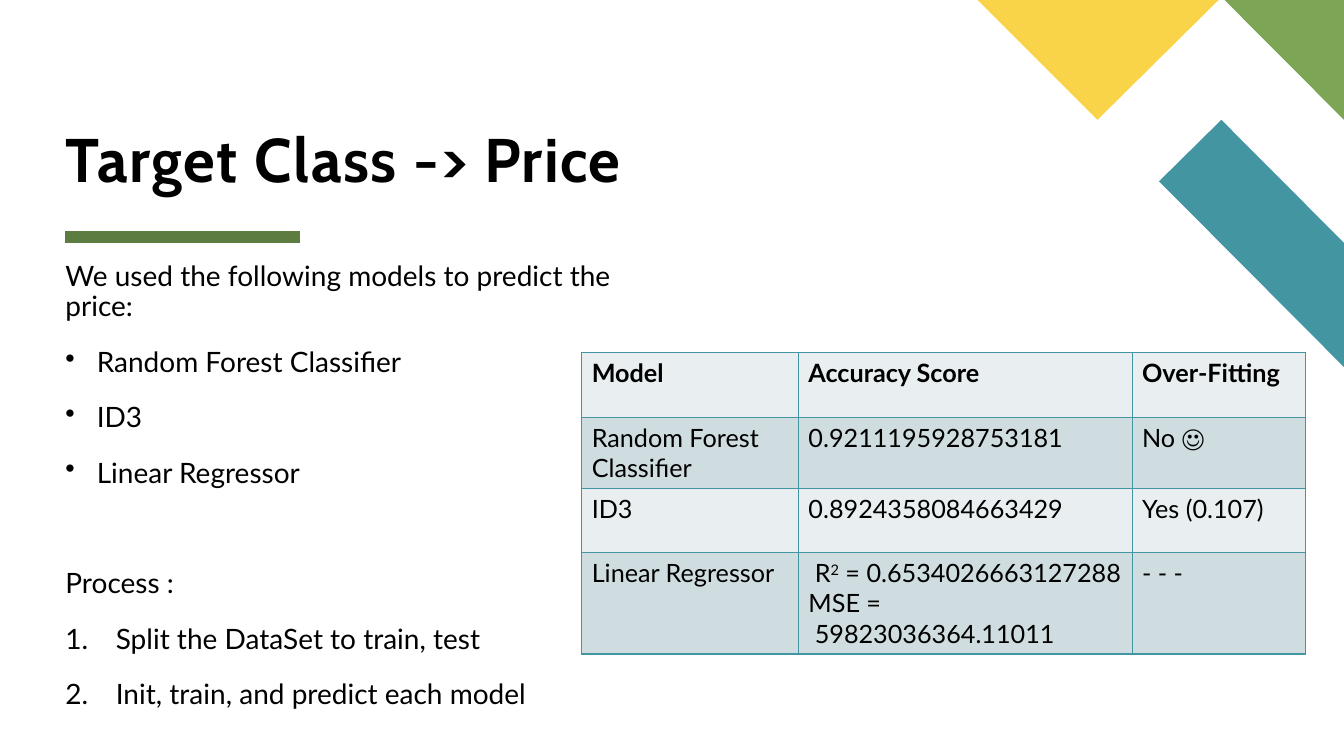
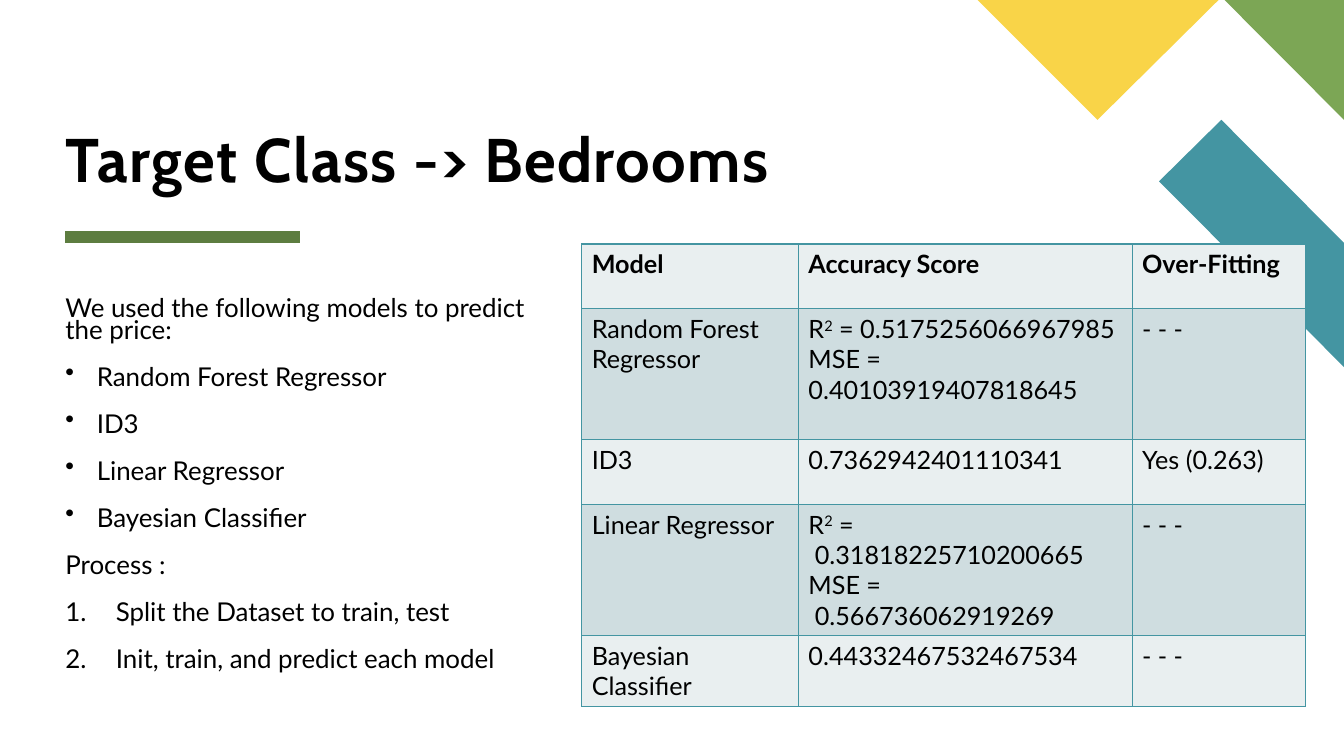
from dataclasses import dataclass

from lxml.etree import SubElement
from pptx import Presentation
from pptx.dml.color import RGBColor
from pptx.enum.shapes import MSO_CONNECTOR
from pptx.enum.text import MSO_ANCHOR, PP_ALIGN
from pptx.oxml import parse_xml
from pptx.oxml.ns import nsdecls, qn
from pptx.util import Cm, Pt


@dataclass(frozen=True)
class Theme:
    """Colours, fonts and type sizes shared by the slides."""

    ink: str = "000000"
    teal: str = "4495A2"
    green: str = "7CA655"
    yellow: str = "F9D448"
    rule: str = "5D7D40"
    bands: tuple = ("E9EFF0", "CFDDE0")
    title_font: str = "Cabin"
    body_font: str = "Lato"
    title_size: float = 44
    table_size: float = 18
    paragraph_gap: float = 18


@dataclass(frozen=True)
class Regression:
    """Scores of a regression model and their reading direction."""

    r_squared: str
    mse: str
    rtl: bool = False


THEME = Theme()
LEFT_MARGIN = 1.65
COLUMN_WIDTHS = (5.46, 8.41, 4.37)
HEADINGS = ("Model", "Accuracy Score", "Over-Fitting")
NO_VALUE = "- - -"
INTRO = "We used the following models to predict the price:"
CORNER_PIECES = (
    (THEME.teal, ((33.87, 9.25), (33.87, 6.12), (30.78, 3.02), (29.21, 4.57))),
    (THEME.green, ((33.87, 3.02), (33.87, 0), (30.86, 0))),
    (THEME.yellow, ((24.64, 0), (27.66, 3.02), (30.71, 0))),
)


def color(value):
    """Turn a hex string into a colour."""
    return RGBColor.from_string(value)


def style_run(run, size, font=THEME.body_font, bold=False):
    """Apply font, size, weight and ink to a run."""
    run.font.name = font
    run.font.size = Pt(size)
    run.font.bold = bold
    run.font.color.rgb = color(THEME.ink)


def add_corner_pieces(slide):
    """Draw the coloured outlines in the upper right corner."""
    for fill, corners in CORNER_PIECES:
        points = [(Cm(x), Cm(y)) for x, y in corners]
        builder = slide.shapes.build_freeform(*points[0], scale=1.0)
        builder.add_line_segments(points[1:], close=True)
        piece = builder.convert_to_shape()
        piece.shadow.inherit = False
        piece.fill.solid()
        piece.fill.fore_color.rgb = color(fill)
        piece.line.fill.background()


def add_title_rule(slide):
    """Draw the thick line below the title."""
    rule = slide.shapes.add_connector(
        MSO_CONNECTOR.STRAIGHT, Cm(LEFT_MARGIN), Cm(5.97), Cm(7.57), Cm(5.97)
    )
    rule.line.color.rgb = color(THEME.rule)
    rule.line.width = Pt(8)
    SubElement(rule._element.spPr, qn("a:effectLst"))


def add_text_frame(slide, top, width, height, inset=0):
    """Add a wrapping text box at the left margin and return its frame."""
    frame = slide.shapes.add_textbox(
        Cm(LEFT_MARGIN), Cm(top), Cm(width), Cm(height)
    ).text_frame
    frame.word_wrap = True
    frame.margin_left = frame.margin_right = frame.margin_bottom = 0
    frame.margin_top = Cm(inset)
    return frame


def add_title(slide, text):
    """Add the slide title."""
    frame = add_text_frame(slide, 0.76, 27.15, 4.14)
    frame.vertical_anchor = MSO_ANCHOR.BOTTOM
    title = frame.paragraphs[0]
    title.text = text
    title.line_spacing = 0.8
    style_run(title.runs[0], THEME.title_size, THEME.title_font, True)
    title.runs[0].font._element.set("spc", "100")


def add_marker(paragraph, indent, tag, **attributes):
    """Give a paragraph a bullet or number with a hanging indent."""
    properties = paragraph._p.get_or_add_pPr()
    properties.set("marL", str(Cm(indent)))
    properties.set("indent", str(-Cm(indent)))
    SubElement(properties, qn(tag), attributes)


def add_body(slide, top, width, height, size, spacing, models, steps, process_gap):
    """Add the introduction, the bulleted models and the numbered steps."""
    frame = add_text_frame(slide, top, width, height, 0.13)
    lines = [(INTRO, None)]
    lines += [(model, (0.79, "a:buChar", {"char": "•"})) for model in models]
    lines += [("Process :", None)]
    lines += [(step, (1.27, "a:buAutoNum", {"type": "arabicPeriod"})) for step in steps]
    for index, (text, marker) in enumerate(lines):
        paragraph = frame.add_paragraph() if index else frame.paragraphs[0]
        paragraph.text = text
        paragraph.line_spacing = spacing
        paragraph.space_before = Pt(THEME.paragraph_gap)
        style_run(paragraph.runs[0], size)
        if marker:
            indent, tag, attributes = marker
            add_marker(paragraph, indent, tag, **attributes)
    frame.paragraphs[len(models) + 1].space_before = Pt(process_gap)


def set_borders(cell):
    """Draw a thin teal line on every side of a cell."""
    properties = cell._tc.get_or_add_tcPr()
    for index, side in enumerate(("lnL", "lnR", "lnT", "lnB")):
        border = parse_xml(
            f'<a:{side} {nsdecls("a")} w="{Pt(1)}"><a:solidFill>'
            f'<a:srgbClr val="{THEME.teal}"/></a:solidFill></a:{side}>'
        )
        properties.insert(index, border)


def write_regression(frame, scores):
    """Write R squared and the mean squared error into a cell."""
    ending = " " if scores.rtl else ""
    squared = frame.paragraphs[0]
    squared.text = "R"
    exponent = squared.add_run()
    exponent.text = "2"
    exponent.font._element.set("baseline", "30000")
    squared.add_run().text = f" = {scores.r_squared}{ending}"
    error = frame.add_paragraph()
    error.text = f"MSE = {scores.mse}{ending}"
    if scores.rtl:
        for paragraph in (squared, error):
            paragraph.alignment = PP_ALIGN.LEFT
            paragraph._p.get_or_add_pPr().set("rtl", "1")


def fill_cell(cell, content, band, bold):
    """Write and style one table cell."""
    if isinstance(content, Regression):
        write_regression(cell.text_frame, content)
    else:
        cell.text_frame.text = content
    for paragraph in cell.text_frame.paragraphs:
        for run in paragraph.runs:
            style_run(run, THEME.table_size, bold=bold)
    cell.fill.solid()
    cell.fill.fore_color.rgb = color(band)
    set_borders(cell)


def add_score_table(slide, top, row_heights, results):
    """Add the table of model scores."""
    rows = (HEADINGS, *results)
    table = slide.shapes.add_table(
        len(rows), len(HEADINGS), Cm(14.66), Cm(top),
        Cm(sum(COLUMN_WIDTHS)), Cm(sum(row_heights)),
    ).table
    table.horz_banding = False
    for column, width in zip(table.columns, COLUMN_WIDTHS):
        column.width = Cm(width)
    for index, (row, height, contents) in enumerate(zip(table.rows, row_heights, rows)):
        row.height = Cm(height)
        for cell, content in zip(row.cells, contents):
            fill_cell(cell, content, THEME.bands[index % 2], index == 0)


def add_target_slide(deck, title):
    """Add a slide with the shared decoration and a title."""
    slide = deck.slides.add_slide(deck.slide_layouts[6])
    add_corner_pieces(slide)
    add_title_rule(slide)
    add_title(slide, title)
    return slide


def main():
    """Build and save the presentation."""
    deck = Presentation()
    deck.slide_width, deck.slide_height = Cm(33.87), Cm(19.05)

    price = add_target_slide(deck, "Target Class -> Price")
    add_body(
        price, 6.48, 14.02, 12.04, 20, 0.9,
        models=("Random Forest Classifier", "ID3", "Linear Regressor"),
        steps=("Split the DataSet to train, test", "Init, train, and predict each model"),
        process_gap=57.6,
    )
    add_score_table(price, 8.89, (1.63, 1.78, 1.63, 2.55), (
        ("Random Forest Classifier", "0.9211195928753181", "No ☺"),
        ("ID3", "0.8924358084663429", "Yes (0.107)"),
        ("Linear Regressor",
         Regression("0.6534026663127288", "59823036364.11011", rtl=True), NO_VALUE),
    ))

    bedrooms = add_target_slide(deck, "Target Class -> Bedrooms")
    add_body(
        bedrooms, 7.44, 12.47, 9.98, 18.5, 0.7,
        models=("Random Forest Regressor", "ID3", "Linear Regressor", "Bayesian Classifier"),
        steps=("Split the Dataset to train, test", "Init, train, and predict each model"),
        process_gap=THEME.paragraph_gap,
    )
    add_score_table(bedrooms, 6.15, (1.63, 3.3, 1.63, 3.3, 1.78), (
        ("Random Forest Regressor",
         Regression("0.5175256066967985", "0.40103919407818645"), NO_VALUE),
        ("ID3", "0.7362942401110341", "Yes (0.263)"),
        ("Linear Regressor",
         Regression("0.31818225710200665", "0.566736062919269", rtl=True), NO_VALUE),
        ("Bayesian Classifier", "0.44332467532467534", NO_VALUE),
    ))

    deck.save("out.pptx")


if __name__ == "__main__":
    main()
